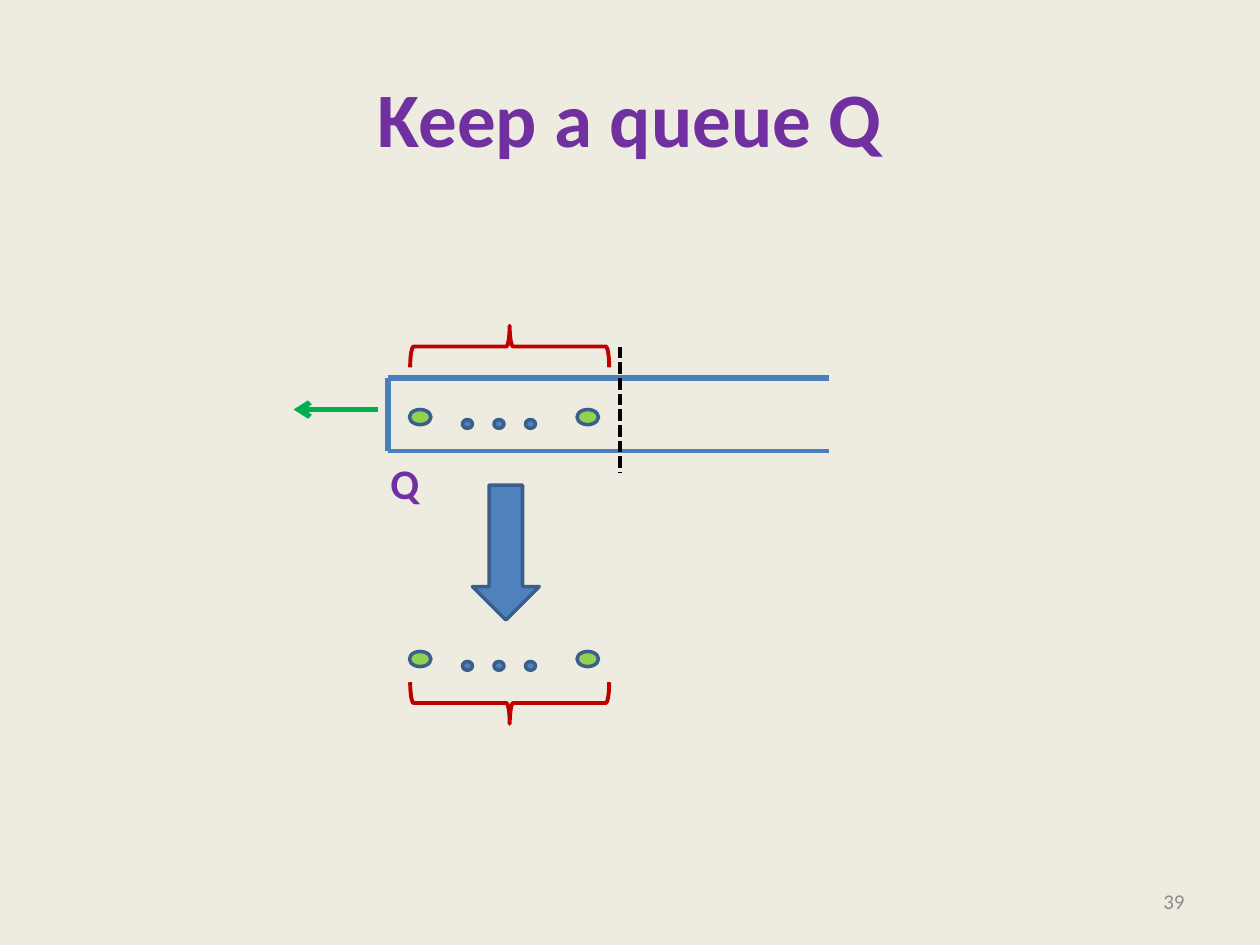
from lxml import etree
from pptx import Presentation
from pptx.dml.color import RGBColor
from pptx.enum import dml, shapes, text
from pptx.oxml.ns import qn
from pptx.util import Inches, Pt

COLORS = {
    "background": "EEECE1", "purple": "7030A0", "gray": "8C8C8C",
    "green": "92D050", "blue": "4F81BD", "outline": "3A5F8C",
    "wall": "4B7EBC", "red": "C00000", "arrow": "00B050", "black": "000000",
}
FONT = "Calibri"
SHAPE = shapes.MSO_SHAPE
ALIGN = text.PP_ALIGN
ANCHOR = text.MSO_ANCHOR


def rgb(name):
    return RGBColor.from_string(COLORS[name])


class SlideBuilder:
    """Holds the style and the current slide."""

    def __init__(self, prs):
        self.slide = prs.slides.add_slide(prs.slide_layouts[5])
        fill = self.slide.background.fill
        fill.solid()
        fill.fore_color.rgb = rgb("background")

    def set_text(self, sp, words, size, color, bold, align, anchor):
        tf = sp.text_frame
        tf.text = words
        tf.vertical_anchor = anchor
        p = tf.paragraphs[0]
        p.alignment = align
        font = p.runs[0].font
        font.name, font.size, font.bold = FONT, Pt(size), bold
        font.color.rgb = rgb(color)

    def title(self, words, x, y, w, h):
        sp = self.slide.shapes.title
        sp.left, sp.top, sp.width, sp.height = map(Inches, (x, y, w, h))
        self.set_text(sp, words, 44, "purple", True, ALIGN.CENTER, ANCHOR.MIDDLE)

    def label(self, words, x, y, w, h, size, color, bold=False,
              align=ALIGN.LEFT, anchor=ANCHOR.TOP, wrap=True):
        sp = self.slide.shapes.add_textbox(*map(Inches, (x, y, w, h)))
        sp.text_frame.word_wrap = wrap
        self.set_text(sp, words, size, color, bold, align, anchor)

    def shape(self, kind, x, y, w, h, fill=None, line="outline", width=2, rotation=0):
        sp = self.slide.shapes.add_shape(kind, *map(Inches, (x, y, w, h)))
        sp.shadow.inherit = False
        sp.rotation = rotation
        if fill:
            sp.fill.solid()
            sp.fill.fore_color.rgb = rgb(fill)
        else:
            sp.fill.background()
        sp.line.color.rgb = rgb(line)
        sp.line.width = Pt(width)

    def line(self, x1, y1, x2, y2, color, width, dash=None, arrow=False):
        cx = self.slide.shapes.add_connector(
            shapes.MSO_CONNECTOR.STRAIGHT, *map(Inches, (x1, y1, x2, y2)))
        cx.line.color.rgb = rgb(color)
        cx.line.width = Pt(width)
        if dash:
            cx.line.dash_style = dash
        sp_pr = cx._element.spPr
        if arrow:
            etree.SubElement(sp_pr.find(qn("a:ln")), qn("a:tailEnd"), type="arrow")
        etree.SubElement(sp_pr, qn("a:effectLst"))

    def items(self, y, brace_y, rotation):
        """First and last item, dots between them, and a brace."""
        for x in (3.25, 4.58):
            self.shape(SHAPE.OVAL, x, y, 0.17, 0.12, "green")
        for i in range(3):
            self.shape(SHAPE.OVAL, 3.67 + 0.25 * i, y + 0.08, 0.08, 0.07, "blue")
        self.shape(SHAPE.RIGHT_BRACE, 3.88, brace_y, 0.33, 1.58,
                   line="red", width=2.25, rotation=rotation)


def main():
    prs = Presentation()
    prs.slide_width, prs.slide_height = Inches(10), Inches(7.5)
    s = SlideBuilder(prs)

    # Title and slide number
    s.title("Keep a queue Q", 0.5, 0.3, 9, 1.25)
    s.label("39", 7.17, 6.95, 2.33, 0.4, 12, "gray",
            align=ALIGN.RIGHT, anchor=ANCHOR.MIDDLE)

    # Items inside the queue
    s.items(3.25, 1.96, 270)

    # Queue walls and name
    left, right, top, bottom = 3.08, 6.58, 3, 3.58
    s.line(left, top, right, top, "wall", 3)
    s.line(right, bottom, left, bottom, "wall", 2.25)
    s.line(left, bottom, left, top, "wall", 3)
    s.label("Q", 3, 3.58, 0.43, 0.5, 24, "purple", bold=True, wrap=False)

    # Items taken out of the queue
    s.items(5.17, 4.79, 90)

    # Arrows and divider
    s.shape(SHAPE.LEFT_ARROW, 3.48, 4.12, 1.07, 0.53, "blue", rotation=270)
    s.line(3, 3.25, 2.33, 3.25, "arrow", 3, arrow=True)
    s.line(4.92, 2.75, 4.92, 3.75, "black", 2.25, dash=dml.MSO_LINE.SQUARE_DOT)

    prs.save("out.pptx")


if __name__ == "__main__":
    main()
